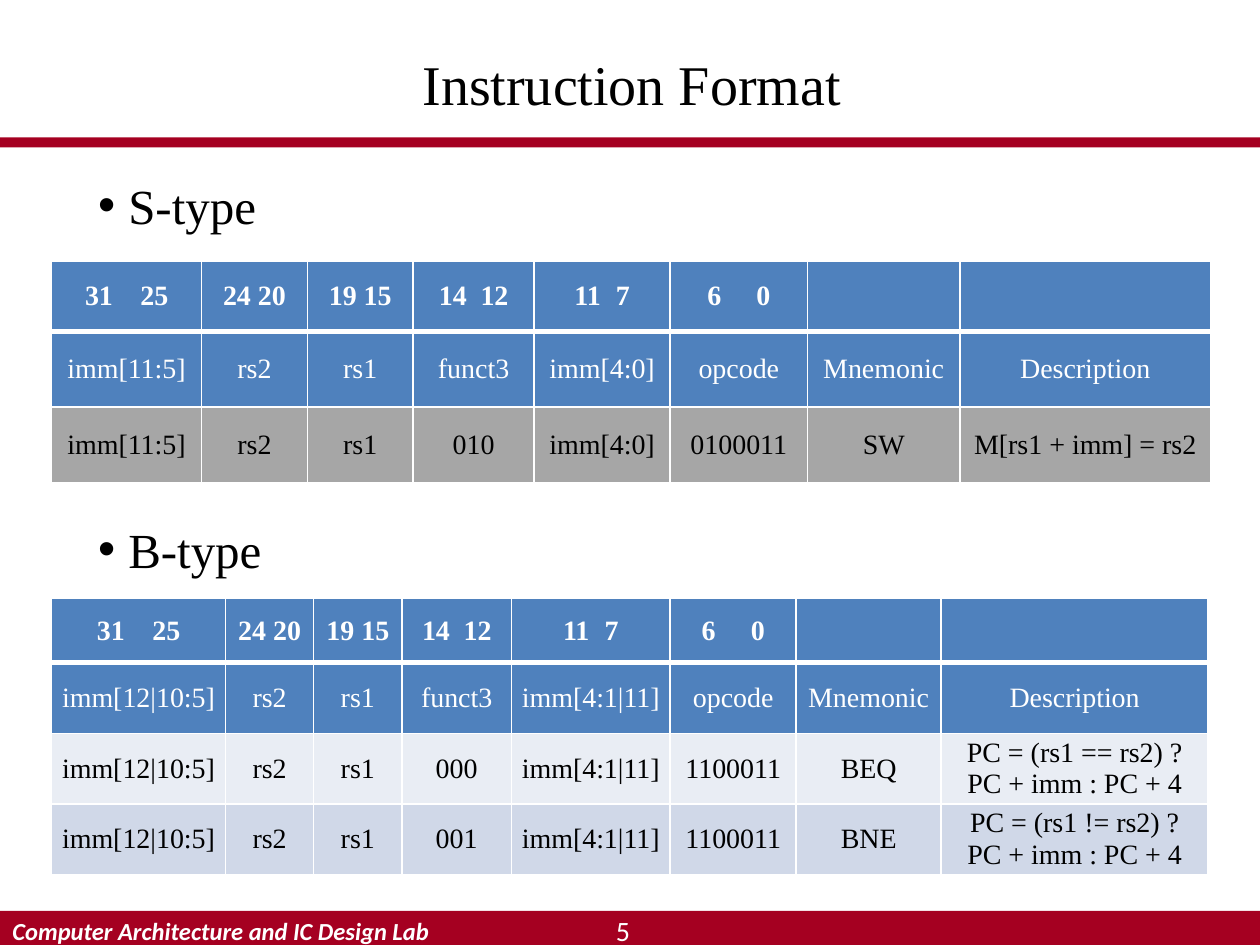
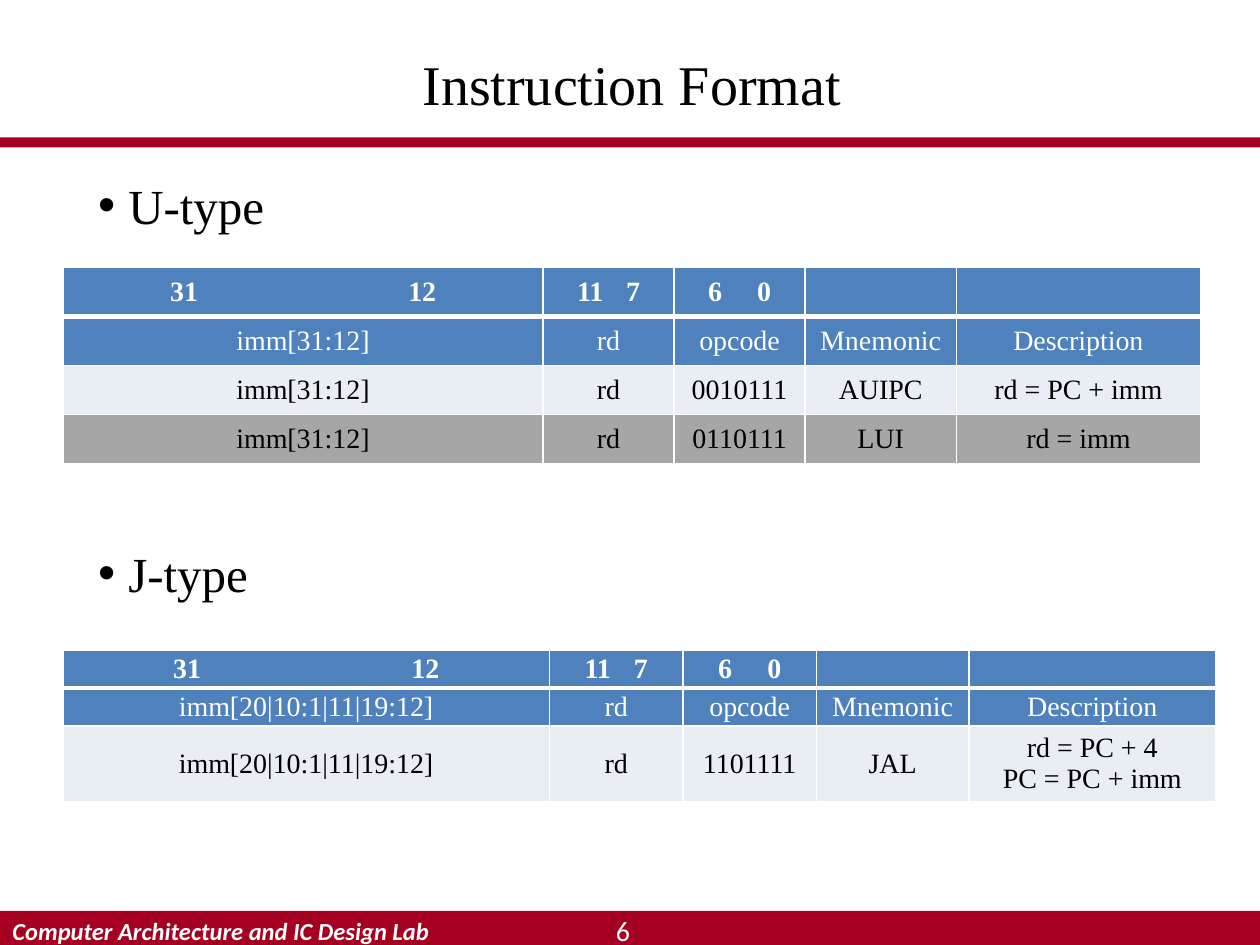
from lxml import etree
from pptx import Presentation
from pptx.dml.color import RGBColor
from pptx.enum.shapes import MSO_SHAPE
from pptx.enum.text import MSO_ANCHOR, PP_ALIGN
from pptx.oxml import parse_xml
from pptx.oxml.ns import nsdecls, qn
from pptx.util import Inches, Pt

RECT = MSO_SHAPE.RECTANGLE
MIDDLE = MSO_ANCHOR.MIDDLE
LEFT, CENTER = PP_ALIGN.LEFT, PP_ALIGN.CENTER
SERIF, SANS = "Times New Roman", "Calibri"
BLACK, WHITE, CRIMSON = "000000", "FFFFFF", "A50021"
BLUE, GREY, PALE, PALE_BLUE = "4F81BD", "A6A6A6", "E9EDF4", "D0D8E8"
W, H = 10, 7.5
CELL_INSET = 0.07
DIGIT = 0.11  # width of one 16 pt digit
BULLET_INDENT = 0.24


def rgb(value):
    return RGBColor.from_string(value)


def add_run(p, text, size, font, color, bold=False, italic=False):
    r = p.add_run()
    r.text = text
    r.font.size, r.font.name = Pt(size), font
    r.font.bold, r.font.italic = bold, italic
    r.font.color.rgb = rgb(color)
    return r


# Header cells: a bit range is (high bit, low bit, gap between them)
SOURCE_BITS = [("31", "25", 0.22), "24 20", "19 15", ("14", "12", 0.11),
               ("11", "7", 0.11), ("6", "0", 0.28), "", ""]
UPPER_BITS = [("31", "12", 1.67), ("11", "7", 0.17), ("6", "0", 0.28), "", ""]
LABELS = ["opcode", "Mnemonic", "Description"]

# Each format: name, label top, table left and top, columns, rows, fills, cells
slides = [
    [
        ("S-type", 1.34, 0.41, 2.07,
         [1.19, 0.84, 0.84, 0.96, 1.08, 1.09, 1.21, 1.99],
         [0.56, 0.6, 0.6], [BLUE, BLUE, GREY],
         [SOURCE_BITS,
          ["imm[11:5]", "rs2", "rs1", "funct3", "imm[4:0]"] + LABELS,
          ["imm[11:5]", "rs2", "rs1", "010", "imm[4:0]", "0100011", "SW",
           "M[rs1 + imm] = rs2"]]),
        ("B-type", 4.07, 0.41, 4.75,
         [1.38, 0.7, 0.7, 0.87, 1.26, 1, 1.15, 2.12],
         [0.51, 0.56, 0.56, 0.56], [BLUE, BLUE, PALE, PALE_BLUE],
         [SOURCE_BITS,
          ["imm[12|10:5]", "rs2", "rs1", "funct3", "imm[4:1|11]"] + LABELS,
          ["imm[12|10:5]", "rs2", "rs1", "000", "imm[4:1|11]", "1100011",
           "BEQ", "PC = (rs1 == rs2) ?\nPC + imm : PC + 4"],
          ["imm[12|10:5]", "rs2", "rs1", "001", "imm[4:1|11]", "1100011",
           "BNE", "PC = (rs1 != rs2) ?\nPC + imm : PC + 4"]]),
    ],
    [
        ("U-type", 1.34, 0.5, 2.12,
         [3.81, 1.04, 1.04, 1.2, 1.94],
         [0.39] * 4, [BLUE, BLUE, PALE, GREY],
         [UPPER_BITS,
          ["imm[31:12]", "rd"] + LABELS,
          ["imm[31:12]", "rd", "0010111", "AUIPC", "rd = PC + imm"],
          ["imm[31:12]", "rd", "0110111", "LUI", "rd = imm"]]),
        ("J-type", 4.26, 0.5, 5.16,
         [3.86, 1.06, 1.06, 1.21, 1.96],
         [0.3, 0.3, 0.6], [BLUE, BLUE, PALE],
         [UPPER_BITS,
          ["imm[20|10:1|11|19:12]", "rd"] + LABELS,
          ["imm[20|10:1|11|19:12]", "rd", "1101111", "JAL",
           "rd = PC + 4\nPC = PC + imm"]]),
    ],
]

prs = Presentation()
prs.slide_width, prs.slide_height = Inches(W), Inches(H)

for number, formats in enumerate(slides, start=5):
    s = prs.slides.add_slide(prs.slide_layouts[5])

    # Title
    title = s.shapes.title
    title.left, title.top = Inches(0.5), Inches(0.23)
    title.width, title.height = Inches(9.03), Inches(0.86)
    title.text_frame.vertical_anchor = MIDDLE
    p = title.text_frame.paragraphs[0]
    p.alignment = CENTER
    add_run(p, "Instruction Format", 32, SERIF, BLACK)

    # Rule under the title and footer band
    for top, height in [(1.09, 0.08), (7.23, H - 7.23)]:
        band = s.shapes.add_shape(RECT, 0, Inches(top), Inches(W), Inches(height))
        band.shadow.inherit = False
        band.fill.solid()
        band.fill.fore_color.rgb = rgb(CRIMSON)
        band.line.fill.background()

    # Footer text and slide number
    for text, x, y, w, h, size, align, strong in [
            ("Computer Architecture and IC Design Lab",
             0, 7.23, 3.91, 0.31, 14, LEFT, True),
            (str(number), 3.96, 7.27, 1.97, 0.23, 16, CENTER, False)]:
        sp = s.shapes.add_textbox(Inches(x), Inches(y), Inches(w), Inches(h))
        tf = sp.text_frame
        tf.word_wrap = True
        tf.vertical_anchor = MIDDLE
        p = tf.paragraphs[0]
        p.alignment = align
        add_run(p, text, size, SANS, WHITE, strong, strong)

    for name, label_top, left, top, cols, rows, fills, cells in formats:
        # Bulleted format name
        sp = s.shapes.add_textbox(Inches(0.68), Inches(label_top),
                                  Inches(1.6), Inches(0.57))
        tf = sp.text_frame
        tf.word_wrap = True
        tf.vertical_anchor = MIDDLE
        p = tf.paragraphs[0]
        pPr = p._p.get_or_add_pPr()
        pPr.set("marL", str(Inches(BULLET_INDENT)))
        pPr.set("indent", str(-Inches(BULLET_INDENT)))
        etree.SubElement(pPr, qn("a:buFont")).set("typeface", "Arial")
        etree.SubElement(pPr, qn("a:buChar")).set("char", "•")
        add_run(p, name, 28, SERIF, BLACK)

        # Instruction table
        table = s.shapes.add_table(len(rows), len(cols), Inches(left), Inches(top),
                                   Inches(sum(cols)), Inches(sum(rows))).table
        for i, width in enumerate(cols):
            table.columns[i].width = Inches(width)
        for i, height in enumerate(rows):
            table.rows[i].height = Inches(height)
            for j, value in enumerate(cells[i]):
                cell = table.cell(i, j)
                cell.vertical_anchor = MIDDLE
                cell.margin_left = cell.margin_right = Inches(CELL_INSET)
                cell.margin_top = cell.margin_bottom = 0

                # White borders, heavier between the header and the field names
                for side in "LRTB":
                    heavy = (i, side) in [(0, "B"), (1, "T")]
                    cell._tc.get_or_add_tcPr().append(parse_xml(
                        f'<a:ln{side} {nsdecls("a")} w="{Pt(3 if heavy else 1)}">'
                        f'<a:solidFill><a:srgbClr val="{WHITE}"/></a:solidFill>'
                        f'</a:ln{side}>'))
                cell.fill.solid()
                cell.fill.fore_color.rgb = rgb(fills[i])

                # A bit range is centred by its inset and parted by a tab stop
                tf = cell.text_frame
                align = CENTER
                if isinstance(value, tuple):
                    high, low, gap = value
                    span = DIGIT * len(high + low) + gap
                    cell.margin_left = Inches((cols[j] - span) / 2)
                    cell.margin_right = 0
                    align = LEFT
                    tabs = etree.SubElement(
                        tf.paragraphs[0]._p.get_or_add_pPr(), qn("a:tabLst"))
                    tab = etree.SubElement(tabs, qn("a:tab"))
                    tab.set("pos", str(Inches(DIGIT * len(high) + gap)))
                    tab.set("algn", "l")
                    value = f"{high}\t{low}"
                for k, line in enumerate(value.split("\n")):
                    p = tf.add_paragraph() if k else tf.paragraphs[0]
                    p.alignment = align
                    add_run(p, line, 16, SERIF, WHITE if i < 2 else BLACK, i == 0)

prs.save("out.pptx")
